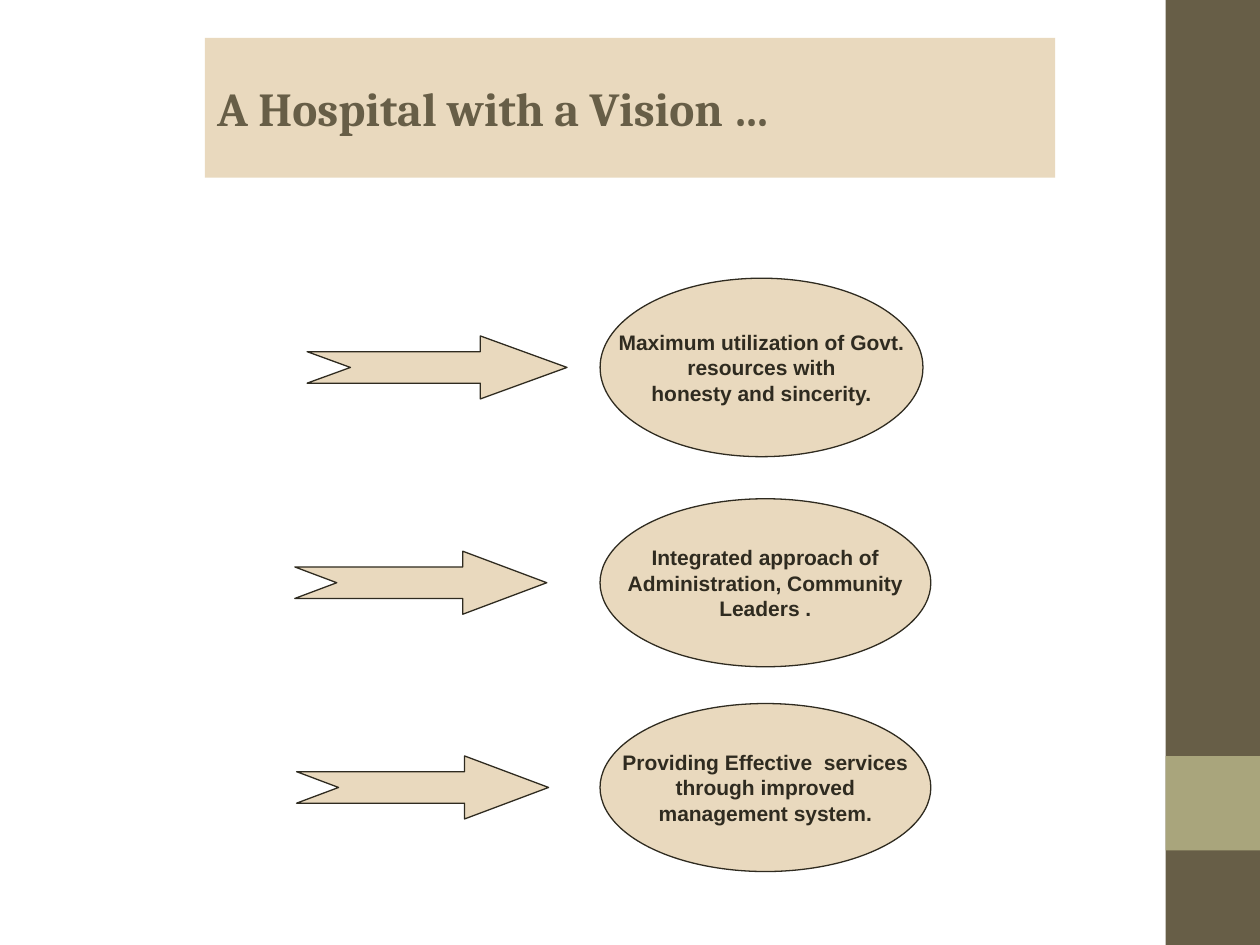
from pptx import Presentation
from pptx.dml.color import RGBColor
from pptx.enum.shapes import MSO_SHAPE as Shape
from pptx.enum.text import MSO_ANCHOR as Anchor, PP_ALIGN as Align
from pptx.util import Pt

COLORS = {"sand": "E9D9BE", "olive": "675E47", "sage": "A9A57C", "ink": "2F2B20"}
ELLIPSE_LEFT = 342.9
ARROW_HEIGHT = 36

# Each goal: ellipse top, width, height; arrow left, width; lines of text
GOALS = [
    (159, 184.5, 102, 175.5, 148.5,
     ["Maximum utilization of Govt.", "resources with", "honesty and sincerity."]),
    (285, 189, 96, 168.5, 144,
     ["Integrated approach of", "Administration, Community", "Leaders ."]),
    (402, 189, 96, 169.5, 144,
     ["Providing Effective  services", "through improved", "management system."]),
]


def color(name):
    return RGBColor.from_string(COLORS[name])


def paint(shape, fill, line=None):
    shape.shadow.inherit = False
    shape.fill.solid()
    shape.fill.fore_color.rgb = color(fill)
    if line:
        shape.line.color.rgb = color(line)
        shape.line.width = Pt(0.75)
    else:
        shape.line.fill.background()


def add_block(page, kind, left, top, width, height, fill, line=None):
    block = page.shapes.add_shape(kind, Pt(left), Pt(top), Pt(width), Pt(height))
    paint(block, fill, line)
    return block


def write(shape, lines, font, size, ink, align, wrap):
    frame = shape.text_frame
    frame.word_wrap = wrap
    frame.vertical_anchor = Anchor.MIDDLE
    for index, line in enumerate(lines):
        para = frame.add_paragraph() if index else frame.paragraphs[0]
        para.alignment = align
        span = para.add_run()
        span.text = line
        span.font.name = font
        span.font.size = Pt(size)
        span.font.bold = True
        span.font.color.rgb = color(ink)


def add_arrow(page, left, middle, width):
    """Draw a right arrow with a notched tail, centred on the height middle."""
    head, notch = left + width * 2 / 3, left + width / 6
    half, quarter = ARROW_HEIGHT / 2, ARROW_HEIGHT / 4
    points = [
        (left, middle - quarter), (head, middle - quarter), (head, middle - half),
        (left + width, middle), (head, middle + half), (head, middle + quarter),
        (left, middle + quarter), (notch, middle),
    ]
    corners = [(Pt(x), Pt(y)) for x, y in points]
    builder = page.shapes.build_freeform(*corners[0])
    builder.add_line_segments(corners[1:], close=True)
    paint(builder.convert_to_shape(), "sand", "ink")


def add_goal(page, top, width, height, arrow_left, arrow_width, lines):
    add_arrow(page, arrow_left, top + height / 2, arrow_width)
    ellipse = add_block(page, Shape.OVAL, ELLIPSE_LEFT, top, width, height, "sand", "ink")
    write(ellipse, lines, font="Arial", size=12, ink="ink", align=Align.CENTER, wrap=False)


def main():
    deck = Presentation()
    deck.slide_width, deck.slide_height = Pt(720), Pt(540)
    page = deck.slides.add_slide(deck.slide_layouts[6])

    add_block(page, Shape.RECTANGLE, 666, 0, 54, 540, "olive")
    add_block(page, Shape.RECTANGLE, 666, 432, 54, 54, "sage")

    title = add_block(page, Shape.RECTANGLE, 117, 21.6, 486, 80, "sand")
    write(title, ["A Hospital with a Vision …"], font="Cambria", size=27,
          ink="olive", align=Align.LEFT, wrap=True)

    for goal in GOALS:
        add_goal(page, *goal)
    deck.save("out.pptx")


if __name__ == "__main__":
    main()
